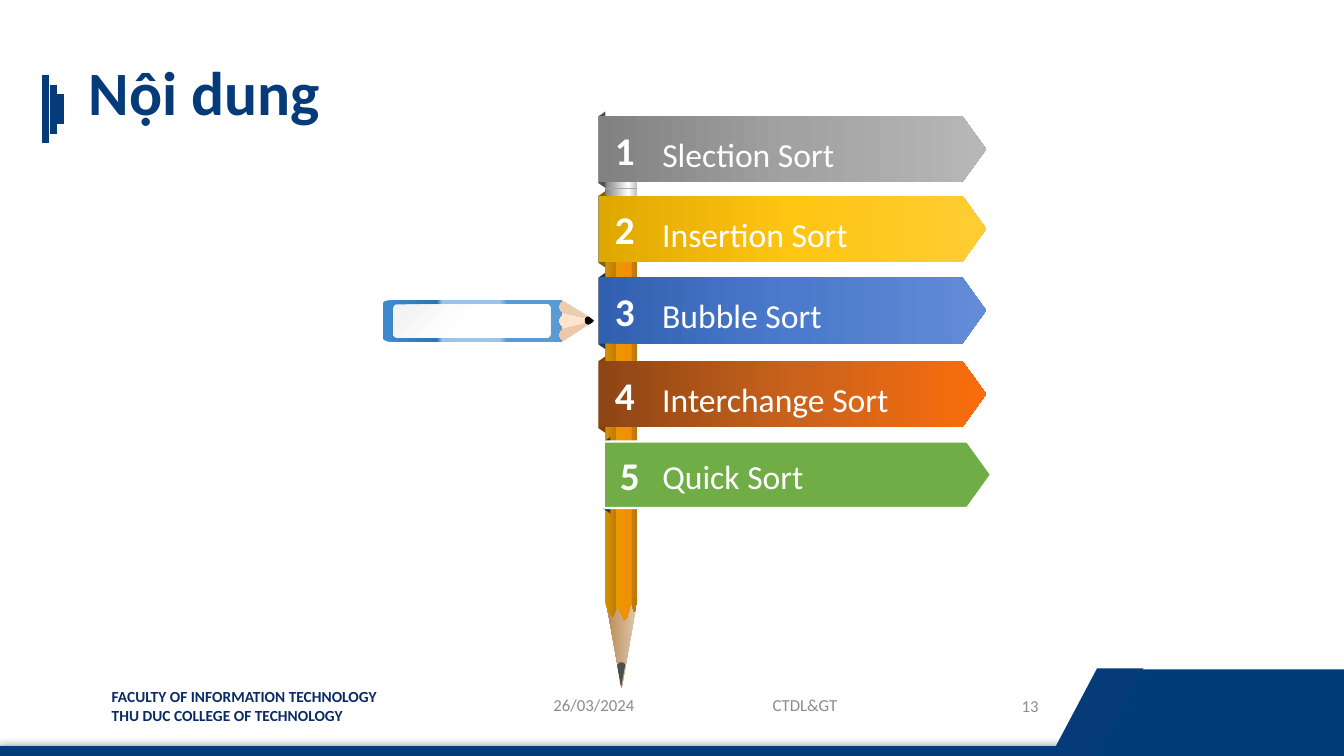
from lxml import etree
from pptx import Presentation
from pptx.dml.color import RGBColor
from pptx.enum.shapes import MSO_CONNECTOR as CONN, MSO_SHAPE as SHAPE
from pptx.enum.text import MSO_ANCHOR as ANCHOR, MSO_AUTO_SIZE as AUTO, PP_ALIGN as ALIGN
from pptx.oxml.ns import qn
from pptx.util import Inches, Pt

NAVY, NAVY_DARK, GREY, WHITE = "063B7A", "003B7A", "8C8C8C", "FFFFFF"

ITEMS = [
    ("Slection Sort", 1.15, 1.92, "525252", [(0, "818181"), (50, "A2A2A2"), (100, "B7B7B7")]),
    ("Insertion Sort", 1.94, 2.06, "806000", [(0, "DFA800"), (50, "FFC513"), (100, "FFCD33")]),
    ("Bubble Sort", 2.75, 1.8, "203864", [(0, "3260B1"), (50, "4C7ACC"), (100, "628CD7")]),
    ("Interchange Sort", 3.58, 2.47, "843C0B", [(0, "8D4514"), (50, "C9621C"), (100, "FB6D0C")]),
    ("Quick Sort", 4.38, 1.61, "203864", "70AD47"),
]


def rgb(value):
    return RGBColor.from_string(value)


def paint(sp, fill, angle=0):
    sp.shadow.inherit = False
    sp.line.fill.background()
    if isinstance(fill, str):
        sp.fill.solid()
        sp.fill.fore_color.rgb = rgb(fill)
        return
    sp.fill.gradient()
    grad = sp._element.spPr.find(qn("a:gradFill"))
    stops = grad.find(qn("a:gsLst"))
    for stop in list(stops):
        stops.remove(stop)
    for position, color in fill:
        stop = etree.SubElement(stops, qn("a:gs"), pos=str(position * 1000))
        etree.SubElement(stop, qn("a:srgbClr"), val=color)
    grad.find(qn("a:lin")).set("ang", str(angle * 60000))


def add_box(shapes, kind, box, fill, angle=0, adj=None, rotation=0):
    sp = shapes.add_shape(kind, *map(Inches, box))
    paint(sp, fill, angle)
    if adj is not None:
        sp.adjustments[0] = adj
    sp.rotation = rotation
    return sp


def set_line(sp, color, width):
    sp.line.color.rgb = rgb(color)
    sp.line.width = Pt(width)


def add_line(shapes, x1, y1, x2, y2, color, width):
    sp = shapes.add_connector(CONN.STRAIGHT, *map(Inches, (x1, y1, x2, y2)))
    set_line(sp, color, width)
    etree.SubElement(sp._element.spPr, qn("a:effectLst"))


def curve_points(start, curve, steps=8):
    xs, ys = (start[0], *curve[::2]), (start[1], *curve[1::2])
    for i in range(1, steps + 1):
        t = i / steps
        weights = ((1 - t) ** 3, 3 * t * (1 - t) ** 2, 3 * t * t * (1 - t), t ** 3)
        yield tuple(sum(w * v for w, v in zip(weights, axis)) for axis in (xs, ys))


def add_outline(shapes, segments, fill):
    points = [segments[0]]
    for seg in segments[1:]:
        points += [seg] if len(seg) == 2 else curve_points(points[-1], seg)
    points = [(Inches(x), Inches(y)) for x, y in points]
    builder = shapes.build_freeform(*points[0])
    builder.add_line_segments(points[1:], close=True)
    paint(builder.convert_to_shape(), fill)


def add_text(shapes, box, text, size, color, bold=False, align=ALIGN.LEFT,
             anchor=ANCHOR.TOP, wrap=True, spacing=None, grow=False):
    tf = shapes.add_textbox(*map(Inches, box)).text_frame
    tf.text = text
    tf.word_wrap = wrap
    tf.vertical_anchor = anchor
    tf.auto_size = AUTO.SHAPE_TO_FIT_TEXT if grow else AUTO.NONE
    for p in tf.paragraphs:
        p.alignment = align
        if spacing:
            p.line_spacing = spacing
        for r in p.runs:
            r.font.name, r.font.size, r.font.bold = "Calibri", Pt(size), bold
            r.font.color.rgb = rgb(color)


def add_frame(shapes):
    add_text(shapes, (1.01, 6.77, 3.06, 0.47),
             "FACULTY OF INFORMATION TECHNOLOGY\nTHU DUC COLLEGE OF TECHNOLOGY",
             11, "092A67", bold=True, grow=True)
    bar = add_box(shapes, SHAPE.RECTANGLE, (0, 7.41, 13.33, 0.08), NAVY_DARK)
    set_line(bar, NAVY_DARK, 1)
    effects = bar._element.spPr.find(qn("a:effectLst"))
    shadow = etree.SubElement(effects, qn("a:outerShdw"), blurRad=str(Pt(4)),
                              dist=str(Pt(2)), dir="16200000", rotWithShape="0")
    black = etree.SubElement(shadow, qn("a:srgbClr"), val="000000")
    etree.SubElement(black, qn("a:alpha"), val="40000")
    add_box(shapes, SHAPE.RECTANGLE, (10.92, 6.64, 2.41, 0.86), NAVY_DARK)
    add_box(shapes, SHAPE.PARALLELOGRAM, (10.42, 6.63, 0.92, 0.87), NAVY, adj=0.53)
    for x, top, bottom in ((0.45, 0.74, 1.42), (0.53, 0.84, 1.33), (0.6, 0.93, 1.23)):
        add_line(shapes, x, top, x, bottom, NAVY, 4.5)
    add_text(shapes, (0.78, 0.42, 2.68, 1.06), "Nội dung", 44, NAVY, bold=True,
             anchor=ANCHOR.MIDDLE, spacing=0.9)
    for box, text, align in (
        ((5.39, 6.79, 1.34, 0.4), "26/03/2024", ALIGN.LEFT),
        ((6.96, 6.79, 2.05, 0.4), "CTDL&GT", ALIGN.CENTER),
        ((9.24, 6.8, 1.16, 0.4), "13", ALIGN.RIGHT),
    ):
        add_text(shapes, box, text, 12, GREY, align=align, anchor=ANCHOR.MIDDLE)


def add_blue_pencil(shapes):
    add_outline(shapes, [(5.89, 3.18), (5.49, 3.09), (5.54, 2.99), (5.58, 2.98),
                         (5.84, 3.14)], "EACCB0")
    add_outline(shapes, [(5.89, 3.18), (5.49, 3.28), (5.54, 3.38), (5.58, 3.39),
                         (5.84, 3.22)], "EBC8AC")
    add_box(shapes, SHAPE.ISOSCELES_TRIANGLE, (5.61, 3, 0.18, 0.37), "FFE3CD", rotation=90)
    body = [(3.87, 3.39), (3.83, 3.39, 3.8, 3.37, 3.8, 3.36), (3.8, 3.01),
            (3.8, 2.99, 3.83, 2.98, 3.87, 2.98)]
    for y in (2.98, 3.12, 3.26):
        body += [(5.58, y), (5.55, y + 0.02, 5.54, y + 0.04, 5.54, y + 0.06),
                 (5.54, y + 0.09, 5.55, y + 0.11, 5.58, y + 0.13)]
    add_outline(shapes, body, [(0, "3E89CE"), (30, "2E75B6"), (33, "9DC3E6"),
                               (65, "9DC3E6"), (69, "5B9BD5"), (100, "5B9BD5")])
    add_box(shapes, SHAPE.ROUNDED_RECTANGLE, (3.9, 3.02, 1.56, 0.33),
            [(0, "F2F2F2"), (50, "FFFFFF"), (100, "FDFDFD")], angle=45, adj=0.11)
    add_outline(shapes, [(5.89, 3.18), (5.88, 3.2, 5.86, 3.21, 5.84, 3.22),
                         (5.81, 3.22, 5.8, 3.2, 5.8, 3.18),
                         (5.8, 3.16, 5.81, 3.14, 5.84, 3.14)], "000000")


def add_orange_pencil(shapes):
    add_box(shapes, SHAPE.PENTAGON, (5.72, 6.22, 0.89, 0.32),
            [(0, "E1C9AF"), (100, "B88954")], angle=90, adj=2.82, rotation=90)
    add_outline(shapes, [(6, 2.02), (6.32, 2.02), (6.32, 5.93),
                         (6.32, 6.02, 6.3, 6.05, 6.29, 6.07),
                         (6.27, 6.04, 6.28, 5.98, 6.26, 5.99),
                         (6.25, 6, 6.22, 6.14, 6.2, 6.15),
                         (6.17, 6.15, 6.15, 6.03, 6.13, 6.03),
                         (6.1, 6.02, 6.09, 6.13, 6.07, 6.12),
                         (6.04, 6.09, 6.01, 6.02, 6, 5.97)],
                [(0, "D99100"), (33, "BD7C04"), (34, "ED9501"),
                 (82, "EF9100"), (83, "C87B14"), (100, "BC7908")])
    add_box(shapes, SHAPE.RECTANGLE, (6, 1.37, 0.32, 0.65),
            [(0, "BFBFBF"), (27, "FFFFFF"), (100, "808080")], angle=180)
    add_box(shapes, SHAPE.RECTANGLE, (6.04, 1.15, 0.25, 0.22),
            [(16, "B24349"), (52, "FF6E94"), (100, "BF4C73")])
    add_outline(shapes, [(6.16, 6.57), (6.19, 6.57, 6.2, 6.59, 6.2, 6.6),
                         (6.16, 6.82), (6.12, 6.6), (6.13, 6.59, 6.14, 6.57, 6.16, 6.57)],
                "4C504C")
    for i in range(7):
        y = 1.45 + i * 0.5 / 6
        add_line(shapes, 6, y, 6.32, y, "A6A6A6", 0.5)


def add_item(shapes, number, label, top, width, fold, fill):
    last = number == len(ITEMS)
    shift = 0.05 if last else 0
    add_box(shapes, SHAPE.TRAPEZOID, (5.59 + shift, top + 0.3, 0.76, 0.07), fold,
            adj=0.7, rotation=270)
    plate = add_box(shapes, SHAPE.PENTAGON, (5.94 + shift, top, 3.84, 0.66), fill, adj=0.36)
    if last:
        set_line(plate, WHITE, 1.5)
    add_text(shapes, (6 + shift, top + 0.05, 0.42, 0.57), str(number), 28, WHITE,
             bold=True, wrap=False, grow=True)
    add_text(shapes, (6.47, top + (0.09 if last else 0.13), width, 0.5), label, 24, WHITE,
             wrap=False, grow=True)


def main():
    prs = Presentation()
    prs.slide_width, prs.slide_height = Inches(13.33), Inches(7.5)
    s = prs.slides.add_slide(prs.slide_layouts[6])
    add_frame(s.shapes)
    add_blue_pencil(s.shapes.add_group_shape().shapes)
    add_orange_pencil(s.shapes.add_group_shape().shapes)
    for number, item in enumerate(ITEMS, 1):
        add_item(s.shapes, number, *item)
    prs.save("out.pptx")


if __name__ == "__main__":
    main()
